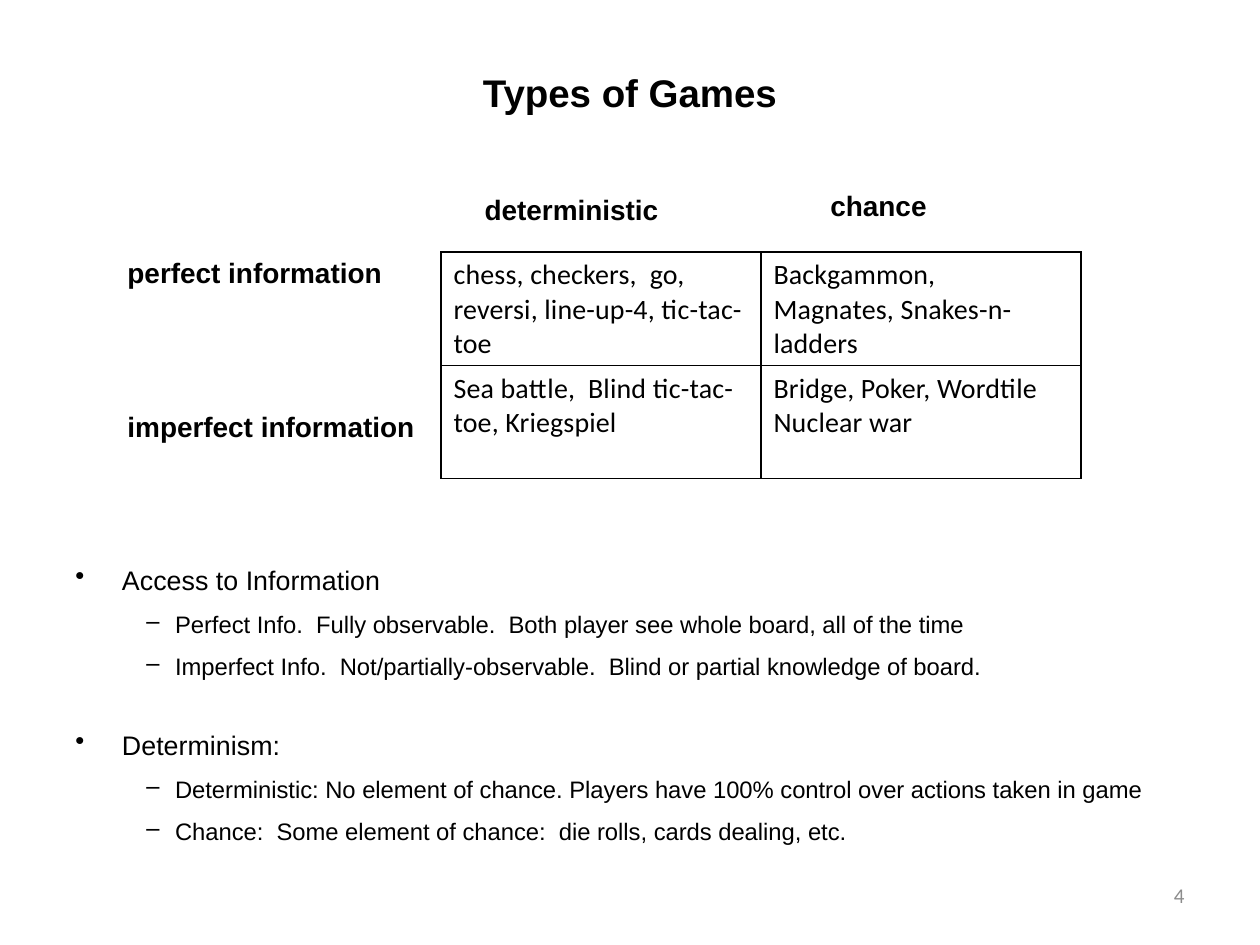
import pptx
import pptx.dml.color
import pptx.enum.text
import pptx.oxml.ns
import pptx.util
from lxml import etree

Cm = pptx.util.Cm
Pt = pptx.util.Pt
Align = pptx.enum.text.PP_ALIGN
Anchor = pptx.enum.text.MSO_ANCHOR
qn = pptx.oxml.ns.qn


def color(hex_text):
    return pptx.dml.color.RGBColor.from_string(hex_text)


class SlideBuilder:
    heading_font = "Arial"
    cell_font = "Calibri"
    ink = "000000"
    muted = "8C8C8C"

    def __init__(self, page):
        self.page = page

    def style(self, para, size, name, bold=False, ink=None):
        para.font.size = Pt(size)
        para.font.name = name
        para.font.bold = bold
        para.font.color.rgb = color(ink or self.ink)

    def frame(self, left, top, width, height, margins=(0.25, 0.13), wrap=True):
        box = self.page.shapes.add_textbox(Cm(left), Cm(top), Cm(width), Cm(height))
        frame = box.text_frame
        frame.word_wrap = wrap
        frame.margin_left = frame.margin_right = Cm(margins[0])
        frame.margin_top = frame.margin_bottom = Cm(margins[1])
        return frame

    def title(self, text):
        frame = self.frame(1.27, 0.76, 22.86, 2.21)
        frame.vertical_anchor = Anchor.MIDDLE
        para = frame.paragraphs[0]
        para.text = text
        para.alignment = Align.CENTER
        self.style(para, 22, self.heading_font, bold=True)

    def label(self, text, left, top, width):
        para = self.frame(left, top, width, 0.69, (0, 0), wrap=False).paragraphs[0]
        para.text = text
        para.alignment = Align.LEFT
        self.style(para, 16, self.heading_font, bold=True)

    def page_number(self, text):
        frame = self.frame(18.21, 17.65, 5.92, 1.02)
        frame.vertical_anchor = Anchor.MIDDLE
        para = frame.paragraphs[0]
        para.text = text
        para.alignment = Align.RIGHT
        para.line_spacing = Pt(7.7)
        self.style(para, 12, self.cell_font, ink=self.muted)

    def bullets(self, groups):
        frame = self.frame(1.27, 11.23, 22.86, 5.79)
        for number, (topic, details) in enumerate(groups):
            para = frame.add_paragraph() if number else frame.paragraphs[0]
            self.bullet(para, topic, 15.3, "•", 0.94, -0.94, 27.4 if number else 0)
            for detail in details:
                para = frame.add_paragraph()
                para.level = 1
                self.bullet(para, detail, 13.6, "–", 2.01, -0.58, 7.9)

    def bullet(self, para, text, size, mark, margin, indent, space):
        para.text = text
        para.space_before = Pt(space)
        self.style(para, size, self.heading_font)
        properties = para._p.get_or_add_pPr()
        properties.set("marL", str(Cm(margin)))
        properties.set("indent", str(Cm(indent)))
        bullet = etree.Element(qn("a:buChar"), char=mark)
        properties.find(qn("a:defRPr")).addprevious(bullet)

    def table(self, rows, left, top, width, height):
        shape = self.page.shapes.add_table(
            len(rows), len(rows[0]), Cm(left), Cm(top), Cm(width), Cm(height))
        table = shape.table
        table.first_row = table.horz_banding = False
        for row, texts in enumerate(rows):
            for column, text in enumerate(texts):
                cell = table.cell(row, column)
                cell.fill.background()
                para = cell.text_frame.paragraphs[0]
                span = para.add_run()
                span.text = text
                span.font._element.set("spc", "10")
                self.style(para, 16, self.cell_font)
                self.borders(cell)

    def borders(self, cell):
        properties = cell._tc.get_or_add_tcPr()
        for index, side in enumerate(("lnL", "lnR", "lnT", "lnB")):
            line = etree.Element(qn("a:" + side), w=str(Pt(1)))
            fill = etree.SubElement(line, qn("a:solidFill"))
            etree.SubElement(fill, qn("a:srgbClr"), val=self.ink)
            properties.insert(index, line)


def main():
    deck = pptx.Presentation()
    deck.slide_width, deck.slide_height = Cm(25.4), Cm(19.05)
    slide = SlideBuilder(deck.slides.add_slide(deck.slide_layouts[6]))

    # Title
    slide.title("Types of Games")

    # Details of both dimensions
    slide.bullets([
        ("Access to Information", [
            "Perfect Info.  Fully observable.  Both player see whole board, all of the time",
            "Imperfect Info.  Not/partially-observable.  Blind or partial knowledge of board.",
        ]),
        ("Determinism:", [
            "Deterministic: No element of chance. Players have 100% control over actions taken in game",
            "Chance:  Some element of chance:  die rolls, cards dealing, etc.",
        ]),
    ])
    slide.page_number("4")

    # Column and row labels
    slide.label("deterministic", 9.77, 3.89, 3.63)
    slide.label("chance", 16.74, 3.81, 2.03)
    slide.label("perfect information", 2.57, 5.16, 5.28)
    slide.label("imperfect information", 2.57, 8.26, 5.94)

    # Game matrix
    slide.table([
        ["chess, checkers,  go, reversi, line-up-4, tic-tac-toe",
         "Backgammon,  Magnates, Snakes-n-ladders"],
        ["Sea battle,  Blind tic-tac-toe, Kriegspiel",
         "Bridge, Poker, Wordtile  Nuclear war"],
    ], 8.89, 5.08, 12.9, 4.57)

    deck.save("out.pptx")


if __name__ == "__main__":
    main()
